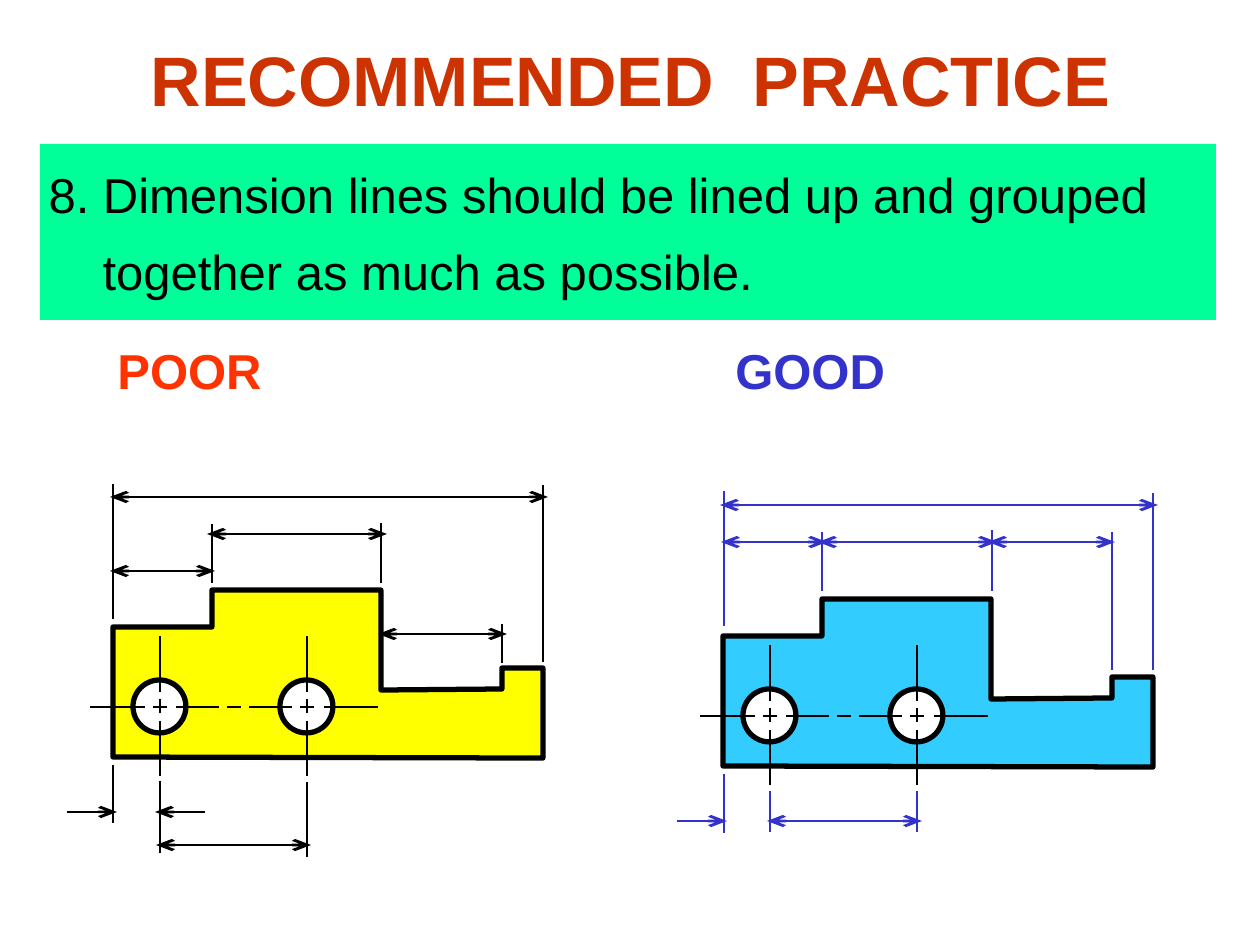
"""Build a slide contrasting poor and good placement of dimension lines."""
from dataclasses import dataclass

from lxml import etree
from pptx import Presentation
from pptx import util as u
from pptx.dml.color import RGBColor
from pptx.enum import shapes, text
from pptx.oxml import ns

SCALE = 914400 / 126


@dataclass(frozen=True)
class Theme:
    font: str = "Arial"
    title_size: int = 40
    body_size: int = 28
    outline_width: float = 3
    thin_width: float = 1.5
    title: str = "CC3300"
    band: str = "00FF99"
    ink: str = "000000"
    white: str = "FFFFFF"
    poor_label: str = "FF3300"
    poor_part: str = "FFFF00"
    good_line: str = "3333CC"
    good_part: str = "33CCFF"


theme = Theme()


def px(*lengths):
    return [u.Emu(round(length * SCALE)) for length in lengths]


def draw_line(points, colour, arrows=()):
    line = slide.shapes.add_connector(shapes.MSO_CONNECTOR.STRAIGHT, *px(*points))
    line.line.width = u.Pt(theme.thin_width)
    line.line.color.rgb = RGBColor.from_string(colour)
    for end in arrows:
        etree.SubElement(line.line._get_or_add_ln(), ns.qn(f"a:{end}"),
                         type="arrow", w="med", len="lg")
    etree.SubElement(line._element.spPr, ns.qn("a:effectLst"))


presentation = Presentation()
presentation.slide_width, presentation.slide_height = px(1260, 945)
slide = presentation.slides.add_slide(presentation.slide_layouts[1])
title, body = slide.placeholders

title.left, title.top, title.width, title.height = px(95, 0, 1071, 157)
title.text_frame.vertical_anchor = text.MSO_ANCHOR.MIDDLE
paragraph = title.text_frame.paragraphs[0]
paragraph.alignment = text.PP_ALIGN.CENTER
run = paragraph.add_run()
run.text = "RECOMMENDED  PRACTICE"
run.font.name, run.font.size, run.font.bold = theme.font, u.Pt(theme.title_size), True
run.font.color.rgb = RGBColor.from_string(theme.title)

band = slide.shapes.add_shape(shapes.MSO_SHAPE.RECTANGLE, *px(40, 144, 1176, 176))
band.shadow.inherit = False
band.fill.solid()
band.fill.fore_color.rgb = RGBColor.from_string(theme.band)
band.line.fill.background()
body.element.addprevious(band.element)

body.left, body.top, body.width, body.height = px(36, 141, 1183, 166)
body.text_frame.auto_size = text.MSO_AUTO_SIZE.NONE
paragraph = body.text_frame.paragraphs[0]
paragraph.line_spacing = 1.3
paragraph.space_before = u.Pt(0)
properties = paragraph._p.get_or_add_pPr()
indent = px(54)[0]
properties.set("marL", str(indent))
properties.set("indent", str(-indent))
etree.SubElement(properties, ns.qn("a:buNone"))
rule_lines = ["8. Dimension lines should be lined up and grouped",
              "together as much as possible."]
for number, words in enumerate(rule_lines):
    if number:
        paragraph.add_line_break()
    run = paragraph.add_run()
    run.text = words
    run.font.name, run.font.size = theme.font, u.Pt(theme.body_size)
    run.font.color.rgb = RGBColor.from_string(theme.ink)

labels = [("POOR", 105, theme.poor_label), ("GOOD", 723, theme.good_line)]
for words, left, colour in labels:
    label = slide.shapes.add_textbox(*px(left, 334, 184, 72))
    label.text_frame.word_wrap = True
    run = label.text_frame.paragraphs[0].add_run()
    run.text = words
    run.font.name, run.font.size, run.font.bold = theme.font, u.Pt(theme.body_size), True
    run.font.color.rgb = RGBColor.from_string(colour)

outline = [(113, 757), (113, 627), (212, 627), (212, 590), (381, 590),
           (381, 690), (502, 689), (502, 668), (543, 668), (543, 758)]
hole_centres = [160, 307]
axis_y = 707
axis_dashes = [(90, 145), (153, 167), (176, 219), (227, 241),
               (249, 292), (300, 314), (324, 378)]
cross_dashes = [(636, 692), (699, 713), (721, 776)]

for dx, dy, colour in [(0, 0, theme.poor_part), (610, 9, theme.good_part)]:
    corners = [(x + dx, y + dy) for x, y in outline]
    builder = slide.shapes.build_freeform(*corners[0], scale=SCALE)
    builder.add_line_segments(corners[1:], close=True)
    solids = [(builder.convert_to_shape(), colour)]
    for centre in hole_centres:
        hole = slide.shapes.add_shape(
            shapes.MSO_SHAPE.OVAL, *px(centre + dx - 27, axis_y + dy - 27, 53, 53))
        solids.append((hole, theme.white))
    for shape, fill in solids:
        shape.shadow.inherit = False
        shape.fill.solid()
        shape.fill.fore_color.rgb = RGBColor.from_string(fill)
        shape.line.color.rgb = RGBColor.from_string(theme.ink)
        shape.line.width = u.Pt(theme.outline_width)
    for start, end in axis_dashes:
        draw_line((start + dx, axis_y + dy, end + dx, axis_y + dy), theme.ink)
    for centre in hole_centres:
        for start, end in cross_dashes:
            draw_line((centre + dx, start + dy, centre + dx, end + dy), theme.ink)

poor_extensions = [(113, 765, 823), (160, 781, 824), (113, 619, 562), (212, 583, 562),
                   (307, 782, 857), (160, 822, 853), (212, 566, 524), (381, 583, 523),
                   (502, 663, 624), (543, 662, 485), (113, 562, 484)]
poor_dimensions = [(110, 215, 571), (311, 156, 845), (207, 387, 534),
                   (507, 378, 634), (110, 548, 497)]
poor_leaders = [(67, 117, 812), (205, 155, 812)]
good_extensions = [(724, 774, 833), (770, 791, 832), (917, 791, 832), (724, 626, 532),
                   (822, 591, 570), (822, 573, 532), (992, 591, 530), (1112, 670, 532),
                   (1153, 670, 493), (724, 536, 491)]
good_dimensions = [(922, 767, 821), (721, 827, 542), (818, 997, 542),
                   (1115, 988, 542), (720, 1158, 505)]
good_leaders = [(677, 727, 821)]

for colour, extensions, dimensions, leaders in [
        (theme.ink, poor_extensions, poor_dimensions, poor_leaders),
        (theme.good_line, good_extensions, good_dimensions, good_leaders)]:
    for x, start, end in extensions:
        draw_line((x, start, x, end), colour)
    for start, end, y in dimensions:
        draw_line((start, y, end, y), colour, ("headEnd", "tailEnd"))
    for start, end, y in leaders:
        draw_line((start, y, end, y), colour, ("tailEnd",))

presentation.save("out.pptx")
